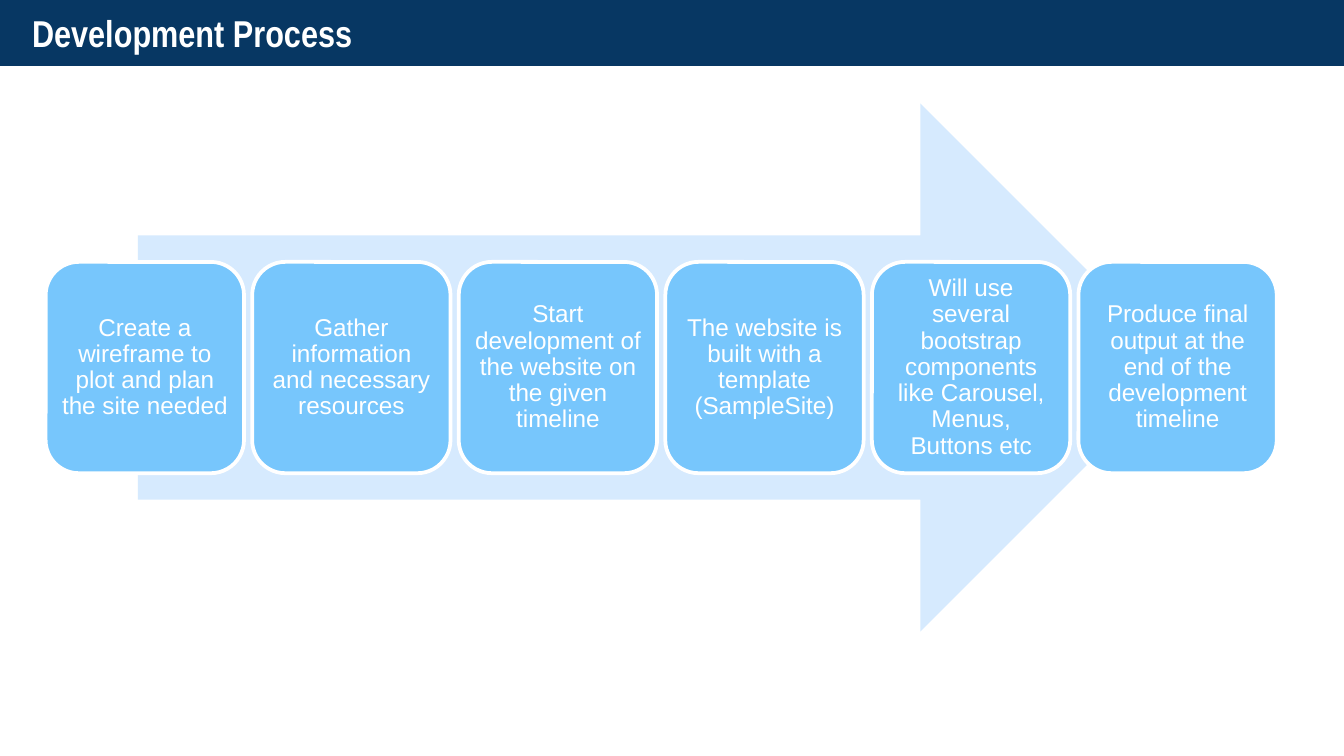
from pptx import Presentation
from pptx import util as u
from pptx.dml.color import RGBColor
from pptx.enum import shapes, text

NAVY = RGBColor(0x07, 0x37, 0x63)
PALE_BLUE = RGBColor(0xD6, 0xEA, 0xFE)
SKY_BLUE = RGBColor(0x77, 0xC6, 0xFC)
WHITE = RGBColor(0xFF, 0xFF, 0xFF)

SLIDE_W = 10
SLIDE_H = SLIDE_W * 9 / 16
HEADER_H = 0.49
CARD_SHARE = 0.96  # card width as a share of the column pitch

STEPS = [
    "Create a wireframe to plot and plan the site needed",
    "Gather information and necessary resources",
    "Start development of the website on the given timeline",
    "The website is built with a template\v(SampleSite)",
    "Will use several bootstrap components like Carousel, Menus, Buttons etc",
    "Produce final output at the end of the development timeline",
]


def add_block(slide, kind, box, fill, line=None):
    """Add a flat preset shape, outlined only when a line colour is given."""
    block = slide.shapes.add_shape(kind, *map(u.Inches, box))
    block.shadow.inherit = False
    block.fill.solid()
    block.fill.fore_color.rgb = fill
    if line is None:
        block.line.fill.background()
    else:
        block.line.color.rgb = line
        block.line.width = u.Pt(2)
    return block


def write(holder, words, *, font, size, bold=False, align=text.PP_ALIGN.LEFT,
          inset=0.1, spacing=1.0):
    frame = holder.text_frame
    frame.word_wrap = True
    frame.vertical_anchor = text.MSO_ANCHOR.MIDDLE
    frame.margin_left = frame.margin_right = u.Inches(inset)
    frame.margin_top = frame.margin_bottom = u.Inches(inset)
    paragraph = frame.paragraphs[0]
    paragraph.text = words
    paragraph.alignment = align
    paragraph.line_spacing = spacing
    for run in paragraph.runs:
        run.font.name = font
        run.font.size = u.Pt(size)
        run.font.bold = bold
        run.font.color.rgb = WHITE


def add_header(slide, box, words):
    left, top, width, height = box
    add_block(slide, shapes.MSO_SHAPE.RECTANGLE, box, NAVY)
    margin = 0.14
    title_box = (left + margin, top, 0.95 * width, height)
    title = slide.shapes.add_textbox(*map(u.Inches, title_box))
    write(title, words, font="Arial Narrow", size=20, bold=True)


def add_process(slide, box, steps):
    """Lay equal step cards across the box, over a wide arrow."""
    left, top, width, height = box
    arrow_w = 0.85 * width
    arrow_box = (left + (width - arrow_w) / 2, top, arrow_w, height)
    add_block(slide, shapes.MSO_SHAPE.RIGHT_ARROW, arrow_box, PALE_BLUE)

    pitch = width / (len(steps) - 1 + CARD_SHARE)
    card_w, card_h = CARD_SHARE * pitch, 0.4 * height
    card_top = top + (height - card_h) / 2
    for column, step in enumerate(steps):
        card = add_block(slide, shapes.MSO_SHAPE.ROUNDED_RECTANGLE,
                         (left + column * pitch, card_top, card_w, card_h),
                         SKY_BLUE, line=WHITE)
        write(card, step, font="Arial", size=13, inset=0.05, spacing=0.9,
              align=text.PP_ALIGN.CENTER)


def main():
    deck = Presentation()
    deck.slide_width = u.Inches(SLIDE_W)
    deck.slide_height = u.Inches(SLIDE_H)
    slide = deck.slides.add_slide(deck.slide_layouts[6])
    add_header(slide, (0, 0, SLIDE_W, HEADER_H), "Development Process")
    add_process(slide, (0.34, 0.77, 9.16, 3.93), STEPS)
    deck.save("out.pptx")


if __name__ == "__main__":
    main()
